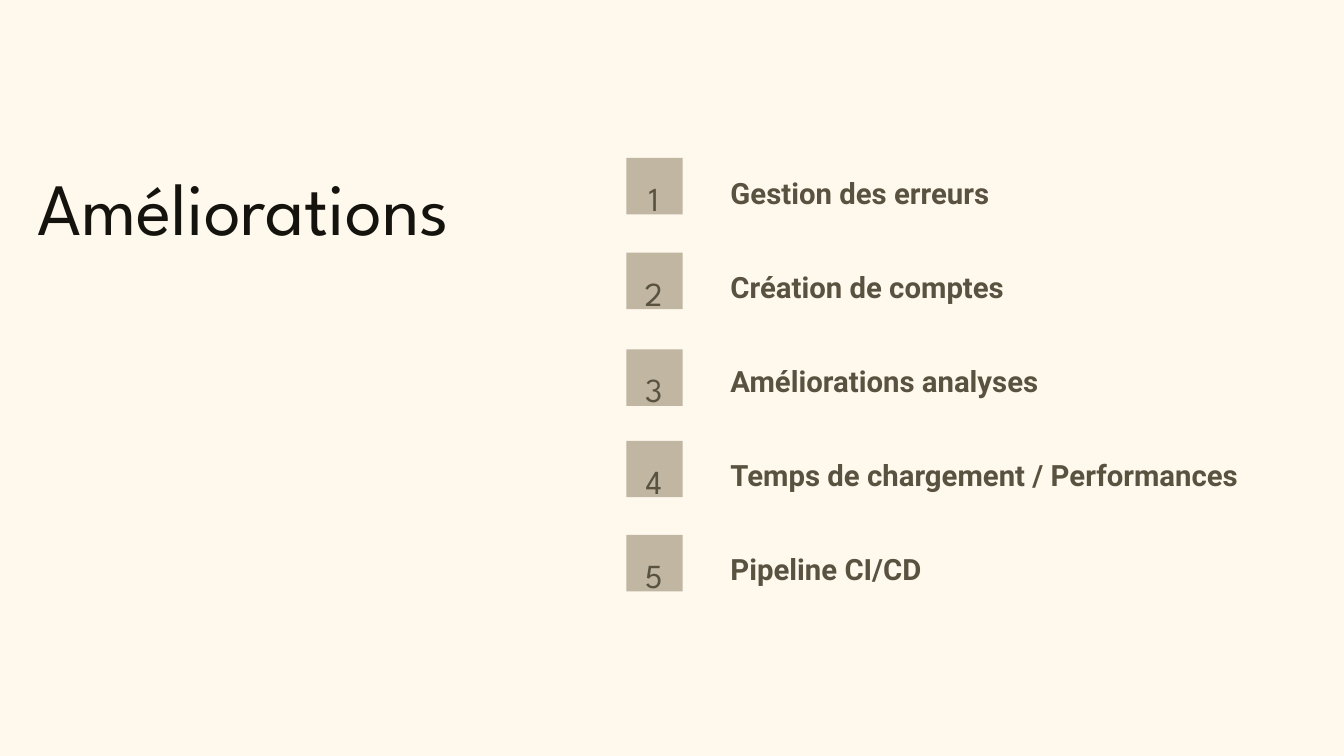
import pptx
import pptx.util
import pptx.dml.color
import pptx.enum.shapes
import pptx.enum.text
import pptx.oxml.ns
import lxml.etree

COLORS = {"page": "FFF8ED", "tile": "C0B6A2", "text": "595240", "title": "15130D"}
WIDE, HIGH = 20, 11.25
PITCH = 1.4
LINE = 62.9
SIDE = 0.84
LEFT = 9.32
ITEMS = [
    ("Gestion des erreurs", 2.35),
    ("Création de comptes", 3.76),
    ("Améliorations analyses", 5.2),
    ("Temps de chargement / Performances", 6.56),
    ("Pipeline CI/CD", 7.96),
]


def tint(name):
    """Return the named colour."""
    return pptx.dml.color.RGBColor.from_string(COLORS[name])


def place(shape, *box):
    """Move a shape to left, top, width and height in inches."""
    shape.left, shape.top, shape.width, shape.height = map(pptx.util.Inches, box)


def set_frame(frame, fit=pptx.enum.text.MSO_AUTO_SIZE.NONE):
    """Give a text frame no margins, wrapping and a top anchor."""
    frame.margin_left = frame.margin_right = 0
    frame.margin_top = frame.margin_bottom = 0
    frame.word_wrap = True
    frame.auto_size = fit
    frame.vertical_anchor = pptx.enum.text.MSO_ANCHOR.TOP


def style(para, face, size, color, line, align="LEFT", bold=False):
    """Set the font, line height and alignment of a paragraph."""
    para.font.name = face
    para.font.size = pptx.util.Pt(size)
    para.font.bold = bold
    para.font.color.rgb = tint(color)
    para.line_spacing = pptx.util.Pt(line)
    para.space_before = pptx.util.Pt(0)
    para.alignment = pptx.enum.text.PP_ALIGN[align]


def add_title(slide, text):
    """Fill the title placeholder."""
    title = slide.shapes.title
    place(title, 0.56, 2.41, 8.05, 1.3)
    set_frame(title.text_frame)
    title.text_frame.text = text
    style(title.text_frame.paragraphs[0], "League Spartan", 79, "title", 94.8)


def add_list(slide, texts):
    """Fill the body placeholder with one plain line per text."""
    body = slide.placeholders[1]
    place(body, 10.87, 2.25, 8.01, PITCH * (len(texts) - 1) + 0.79)
    frame = body.text_frame
    set_frame(frame)
    frame.text = "\n".join(texts)
    for para in frame.paragraphs:
        style(para, "Roboto", 31.4, "text", LINE, bold=True)
        para.space_after = pptx.util.Pt(PITCH * 72 - LINE)
        props = para._p.get_or_add_pPr()
        props.set("marL", "0")
        props.set("indent", "0")
        mark = lxml.etree.SubElement(props, pptx.oxml.ns.qn("a:buNone"))
        props.find(pptx.oxml.ns.qn("a:spcAft")).addnext(mark)


def add_tile(slide, num, top):
    """Add a square with its number as a group."""
    group = slide.shapes.add_group_shape()
    kind = pptx.enum.shapes.MSO_SHAPE.RECTANGLE
    tile = group.shapes.add_shape(kind, 0, 0, 0, 0)
    place(tile, LEFT, top, SIDE, SIDE)
    tile.shadow.inherit = False
    tile.fill.solid()
    tile.fill.fore_color.rgb = tint("tile")
    tile.line.fill.background()
    label = group.shapes.add_textbox(0, 0, 0, 0)
    place(label, LEFT + 0.11, top + 0.11, 0.6, 0.7)
    set_frame(label.text_frame, pptx.enum.text.MSO_AUTO_SIZE.SHAPE_TO_FIT_TEXT)
    label.text_frame.text = str(num)
    style(label.text_frame.paragraphs[0], "League Spartan", 36, "text", 56.5, "CENTER")


def main():
    """Build and save the slide."""
    deck = pptx.Presentation()
    deck.slide_width = pptx.util.Inches(WIDE)
    deck.slide_height = pptx.util.Inches(HIGH)
    slide = deck.slides.add_slide(deck.slide_layouts[1])
    slide.background.fill.solid()
    slide.background.fill.fore_color.rgb = tint("page")
    add_title(slide, "Améliorations")
    add_list(slide, [text for text, top in ITEMS])
    for num, (text, top) in enumerate(ITEMS, 1):
        add_tile(slide, num, top)
    deck.save("out.pptx")


if __name__ == "__main__":
    main()
